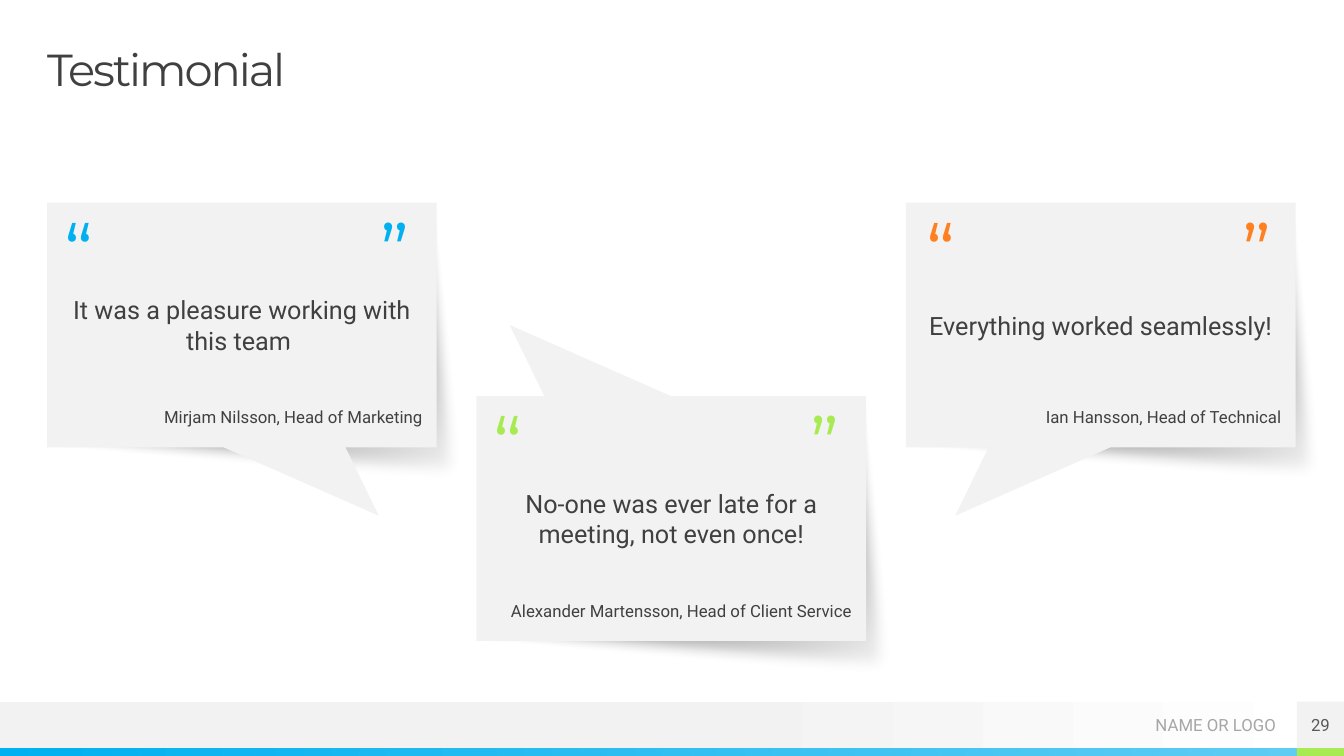
import lxml.etree
import pptx
import pptx.dml.color
import pptx.enum.shapes
import pptx.enum.text
import pptx.oxml
import pptx.oxml.ns
import pptx.util

SHAPE = pptx.enum.shapes.MSO_SHAPE
ALIGN = pptx.enum.text.PP_ALIGN
ANCHOR = pptx.enum.text.MSO_ANCHOR
GREY, DARK = "F2F2F2", "404040"
NS = pptx.oxml.ns.nsdecls("a")

prs = pptx.Presentation()
prs.slide_width = pptx.util.Inches(13.333)
prs.slide_height = pptx.util.Inches(7.5)
COL, ROW = prs.slide_width / 100, prs.slide_height / 100
s = prs.slides.add_slide(prs.slide_layouts[6])


def paint(sp, fill):
    """Fill without outline or shadow; fill is a hex string or (angle, stops),
    each stop being (percent, hex, opacity percent)."""
    sp.shadow.inherit = False
    sp.line.fill.background()
    if isinstance(fill, str):
        sp.fill.solid()
        sp.fill.fore_color.rgb = pptx.dml.color.RGBColor.from_string(fill)
        return
    angle, stops = fill
    marks = "".join(
        f'<a:gs pos="{pos * 1000}"><a:srgbClr val="{color}">'
        f'<a:alpha val="{opacity * 1000}"/></a:srgbClr></a:gs>'
        for pos, color, opacity in stops)
    sp.fill.background()
    none = sp.element.spPr.find(pptx.oxml.ns.qn("a:noFill"))
    none.getparent().replace(none, pptx.oxml.parse_xml(
        f'<a:gradFill {NS} rotWithShape="1"><a:gsLst>{marks}</a:gsLst>'
        f'<a:lin ang="{angle * 60000}" scaled="0"/></a:gradFill>'))


def block(x, y, w, h, text="", size=12, color=DARK, font="Roboto", fill=None,
          align=ALIGN.LEFT, anchor=ANCHOR.TOP, inset=0, spaced=False):
    """Rectangle or text box placed in hundredths of the slide."""
    place = [round(v) for v in (x * COL, y * ROW, w * COL, h * ROW)]
    if fill:
        sp = s.shapes.add_shape(SHAPE.RECTANGLE, *place)
        paint(sp, fill)
    else:
        sp = s.shapes.add_textbox(*place)
    if not text:
        return
    tf = sp.text_frame
    tf.text = text
    tf.word_wrap = True
    tf.vertical_anchor = anchor
    tf.margin_left = tf.margin_right = pptx.util.Inches(inset)
    tf.margin_top = tf.margin_bottom = pptx.util.Inches(inset)
    p = tf.paragraphs[0]
    p.alignment = align
    if spaced:
        p.space_before, p.space_after = pptx.util.Pt(10), pptx.util.Pt(5)
    r = p.runs[0]
    r.font.size = pptx.util.Pt(size)
    r.font.name = font
    r.font.color.rgb = pptx.dml.color.RGBColor.from_string(color)
    if font == "Montserrat":
        p.line_spacing = 0.9
        r.font._element.set("spc", "-150")


# Footer and title
BAR_TOP, STRIPE_TOP, PAGE_LEFT = 92.8, 98.93, 96.5
BAR_H, STRIPE_H, PAGE_W = STRIPE_TOP - BAR_TOP, 100 - STRIPE_TOP, 100 - PAGE_LEFT
block(0, BAR_TOP, 100, BAR_H, fill=(0, [(53, GREY, 100), (100, "FFFFFF", 100)]))
block(0, STRIPE_TOP, PAGE_LEFT, STRIPE_H,
      fill=(0, [(0, "00B0F0", 100), (100, "5ECCF3", 100)]))
block(PAGE_LEFT, STRIPE_TOP, PAGE_W, STRIPE_H, fill="A7EA52")
block(78.15, BAR_TOP, 16.8, 6.27, "NAME OR LOGO", color="A6A6A6",
      align=ALIGN.RIGHT, anchor=ANCHOR.MIDDLE)
block(3.5, 6.27, 93, 6.27, "Testimonial", 32, font="Montserrat")

# Speech cards: top, quote, author, accent, quote mark inset,
# tail offset (column, row), tail rotation, tail in front of the card
CARD_LEFT, CARD_STEP, CARD_W, CARD_H = 3.5, 31.95, 29, 32.4
cards = [
    (26.8, "It was a pleasure working with this team.",
     "Mirjam Nilsson, Head of Marketing", "00B0F0", 1.28, (14.93, 21.2), 133.9, True),
    (52.4, "No-one was ever late for a meeting, not even once!",
     "Alexander Martensson, Head of Client Service", "A7EA52", 1.28, (2.4, -13.07), 313.9, False),
    (26.8, "Everything worked seamlessly!",
     "Ian Hansson, Head of Technical", "FF8021", 1.5, (3.6, 21.2), 226.1, True),
]
for i, (top, quote, author, accent, inset, offset, turn, in_front) in enumerate(cards):
    left = CARD_LEFT + i * CARD_STEP

    corners = [(left + dx, top + dy)
               for dx, dy in ((0, 0), (CARD_W, 0), (31.3, 37.6), (0, CARD_H))]
    points = [(round(x * COL), round(y * ROW)) for x, y in corners]
    outline = s.shapes.build_freeform(*points[0])
    outline.add_line_segments(points[1:], close=True)
    shade = outline.convert_to_shape()
    paint(shade, (60, [(0, "000000", 100), (100, "000000", 0)]))
    effects = shade.element.spPr.find(pptx.oxml.ns.qn("a:effectLst"))
    lxml.etree.SubElement(effects, pptx.oxml.ns.qn("a:softEdge"), rad="127000")

    for part in ("card", "tail") if in_front else ("tail", "card"):
        if part == "card":
            block(left, top, CARD_W, CARD_H, quote, 18, fill=GREY, align=ALIGN.CENTER,
                  anchor=ANCHOR.MIDDLE, inset=0.2, spaced=True)
        else:
            tail = s.shapes.add_shape(
                SHAPE.ISOSCELES_TRIANGLE, round((left + offset[0]) * COL),
                round((top + offset[1]) * ROW), round(9.83 * COL), round(23.87 * ROW))
            tail.rotation = turn
            paint(tail, GREY)

    for mark, shift in (("“", 0), ("”", 23.55)):
        block(left + inset + shift, top + 1.5, 4, 6.27, mark, 54, accent, "Montserrat")
    block(left + 1.25, top + 27.07, 26.7, 3.33, author, align=ALIGN.RIGHT, spaced=True)

block(PAGE_LEFT, BAR_TOP, PAGE_W, BAR_H, "29", color="595959", fill=GREY,
      align=ALIGN.CENTER, anchor=ANCHOR.MIDDLE)

prs.save("out.pptx")
